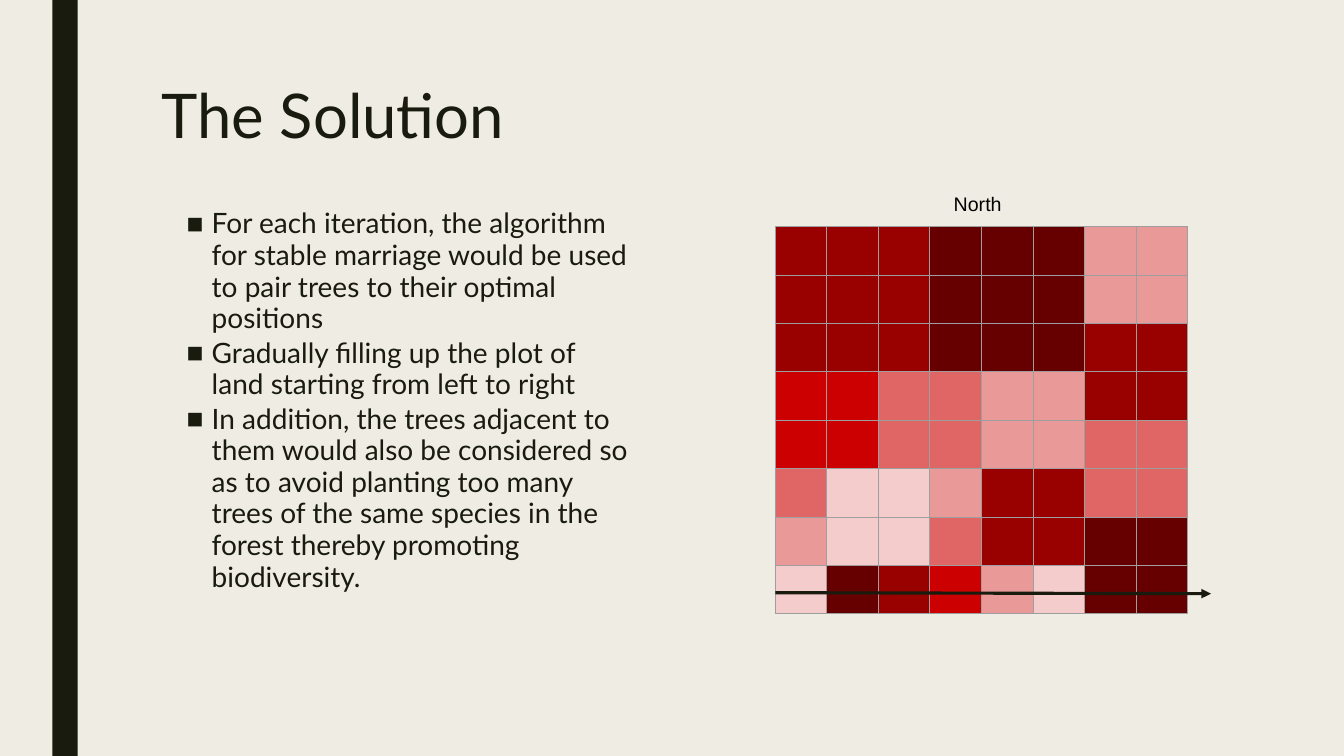
from pptx import Presentation
from pptx.dml.color import RGBColor
from pptx.enum.shapes import MSO_CONNECTOR, MSO_SHAPE
from pptx.enum.text import MSO_ANCHOR, MSO_AUTO_SIZE, PP_ALIGN
from pptx.oxml.ns import qn
from pptx.util import Inches, Pt
from lxml.etree import SubElement

TITLE = "The Solution"
POINTS = [
    "For each iteration, the algorithm for stable marriage would be used "
    "to pair trees to their optimal positions",
    "Gradually filling up the plot of land starting from left to right",
    "In addition, the trees adjacent to them would also be considered so as "
    "to avoid planting too many trees of the same species in the forest "
    "thereby promoting biodiversity.",
]
COLORS = {"background": "EFEDE3", "ink": "191B0E", "label": "000000", "border": "9E9E9E"}

# Tree species from darkest (A) to palest (F), and where each one grows
SPECIES = {"A": "660000", "B": "990000", "C": "CC0000",
           "D": "E06666", "E": "EA9999", "F": "F4CCCC"}
PLOT = [
    "BBBAAAEE",
    "BBBAAAEE",
    "BBBAAABB",
    "CCDDEEBB",
    "CCDDEEDD",
    "DFFEBBDD",
    "EFFDBBAA",
    "FABCEFAA",
]
PLOT_LEFT, PLOT_TOP = 7.69, 2.25
PLOT_WIDTH, PLOT_HEIGHT = 4.09, 3.84


def rgb(name):
    return RGBColor.from_string(COLORS[name])


def place(sp, left, top, width, height):
    sp.left, sp.top = Inches(left), Inches(top)
    sp.width, sp.height = Inches(width), Inches(height)


def prepare_frame(sp):
    tf = sp.text_frame
    tf.word_wrap = True
    tf.auto_size = MSO_AUTO_SIZE.NONE
    tf.vertical_anchor = MSO_ANCHOR.TOP
    tf.margin_left = tf.margin_right = tf.margin_top = tf.margin_bottom = Inches(0.1)
    return tf


def write(p, text, size, font, color):
    p.alignment = PP_ALIGN.LEFT
    r = p.add_run()
    r.text = text
    r.font.size, r.font.name = Pt(size), font
    r.font.color.rgb = rgb(color)


def add_bullet(p):
    pPr = p._p.get_or_add_pPr()
    pPr.set("marL", str(Inches(0.5)))
    pPr.set("indent", str(-Inches(0.25)))
    color = SubElement(pPr, qn("a:buClr"))
    SubElement(color, qn("a:srgbClr"), val=COLORS["ink"])
    SubElement(pPr, qn("a:buFont"), typeface="Arial")
    SubElement(pPr, qn("a:buChar"), char="■")


def add_borders(cell):
    tcPr = cell._tc.get_or_add_tcPr()
    for side in ("lnL", "lnR", "lnT", "lnB"):
        ln = SubElement(tcPr, qn(f"a:{side}"), w=str(Pt(0.75)))
        fill = SubElement(ln, qn("a:solidFill"))
        SubElement(fill, qn("a:srgbClr"), val=COLORS["border"])


prs = Presentation()
prs.slide_width, prs.slide_height = Inches(13.33), Inches(7.5)
s = prs.slides.add_slide(prs.slide_layouts[1])
s.background.fill.solid()
s.background.fill.fore_color.rgb = rgb("background")

# Side bar
bar = s.shapes.add_shape(MSO_SHAPE.RECTANGLE, Inches(0.52), 0, Inches(0.25), Inches(7.5))
bar.shadow.inherit = False
bar.fill.solid()
bar.fill.fore_color.rgb = rgb("ink")
bar.line.fill.background()

# Title
title = s.shapes.title
place(title, 1.5, 0.75, 10.5, 1.62)
p = prepare_frame(title).paragraphs[0]
p.line_spacing = 0.89
write(p, TITLE, 44, "Lato", "ink")

# Bullet list
body = s.placeholders[1]
place(body, 1.5, 1.97, 4.86, 4.73)
tf = prepare_frame(body)
for i, point in enumerate(POINTS):
    p = tf.add_paragraph() if i else tf.paragraphs[0]
    p.line_spacing = 0.94
    p.space_before, p.space_after = Pt(0), Pt(2)
    add_bullet(p)
    write(p, point, 20, "Lato", "ink")

# Plot of land
table = s.shapes.add_table(len(PLOT), len(PLOT[0]), Inches(PLOT_LEFT), Inches(PLOT_TOP),
                           Inches(PLOT_WIDTH), Inches(PLOT_HEIGHT)).table
table.first_row = table.horz_banding = False
for row, line in enumerate(PLOT):
    for col, species in enumerate(line):
        cell = table.cell(row, col)
        add_borders(cell)
        cell.fill.solid()
        cell.fill.fore_color.rgb = RGBColor.from_string(SPECIES[species])

# Compass label
north = s.shapes.add_textbox(Inches(9.36), Inches(1.8), Inches(1.31), Inches(0.35))
write(prepare_frame(north).paragraphs[0], "North", 14, "Arial", "label")

# Planting direction
arrow = s.shapes.add_connector(MSO_CONNECTOR.STRAIGHT, Inches(PLOT_LEFT), Inches(5.88),
                               Inches(12.01), Inches(5.89))
arrow.line.width = Pt(2.25)
arrow.line.color.rgb = rgb("ink")
SubElement(arrow.line._get_or_add_ln(), qn("a:tailEnd"), type="triangle")
SubElement(arrow._element.spPr, qn("a:effectLst"))

prs.save("out.pptx")
